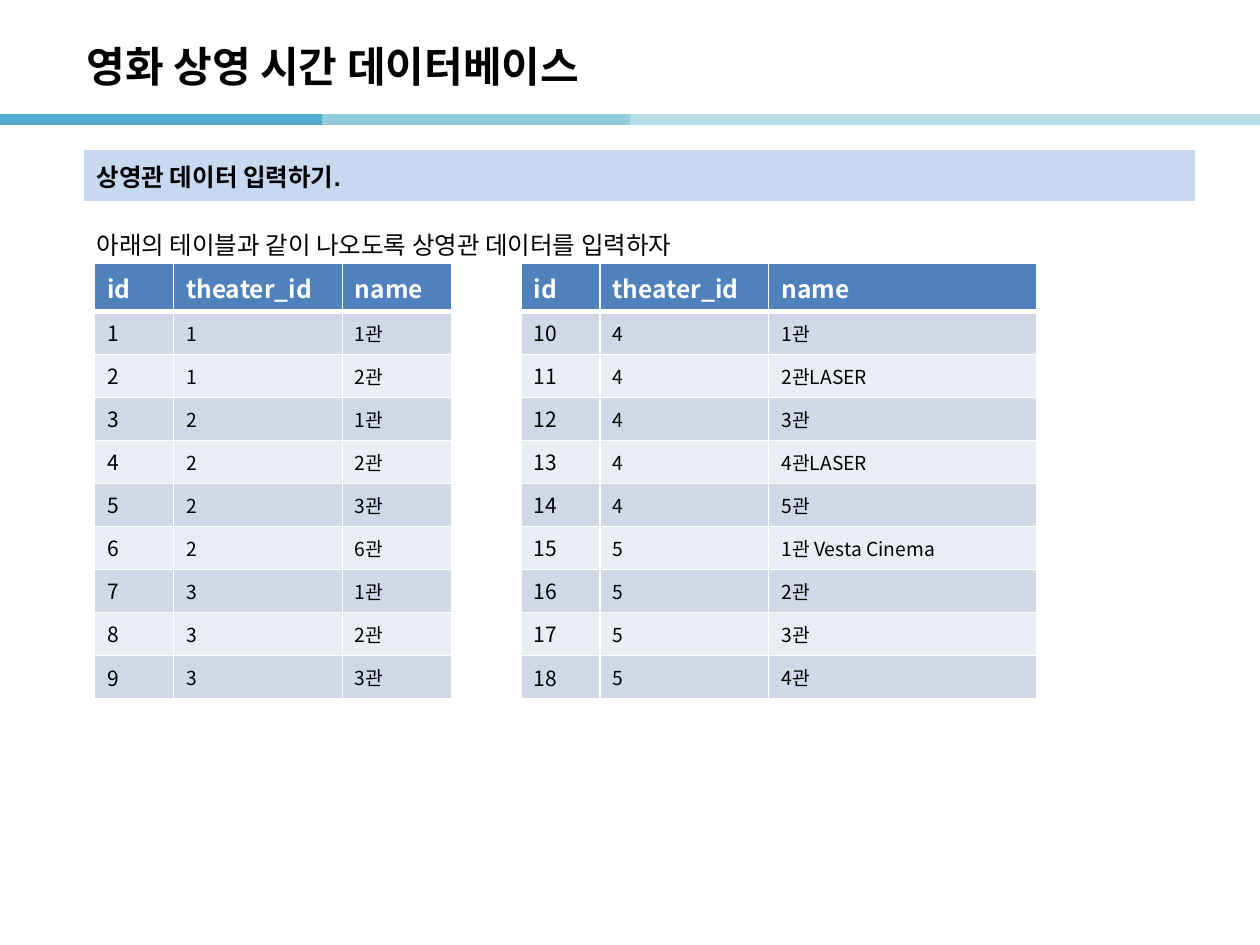
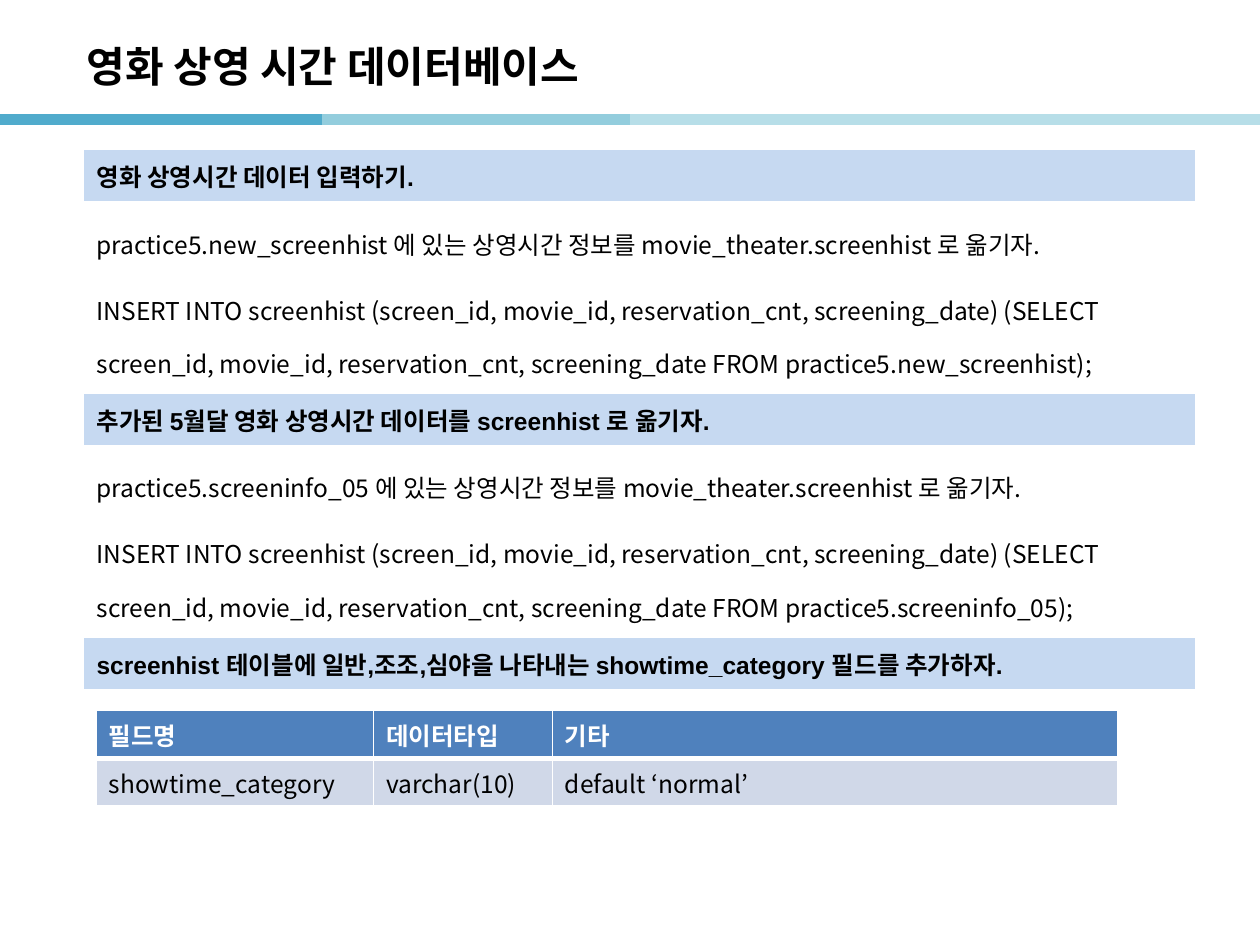
from lxml.etree import SubElement
from pptx import Presentation
from pptx.dml.color import RGBColor
from pptx.enum.shapes import MSO_CONNECTOR
from pptx.enum.text import MSO_ANCHOR
from pptx.oxml.ns import qn
from pptx.util import Pt

COLORS = {
    "black": "000000", "white": "FFFFFF",
    "teal": "50ABCC", "aqua": "93CDDD", "pale": "B7DEE8",
    "band": "C6D9F1", "head": "4F81BD", "odd": "D0D8E8", "even": "E9EDF4",
}
SANS = "Noto Sans CJK KR"
TITLE = "영화 상영 시간 데이터베이스"
LEFT, TOP, STEP = 48, 85.7, 139.3  # section tables
BAND, LINE, PAIR = 29.4, 37.7, 71.5  # heading, one-line and two-line rows


def color(name):
    return RGBColor.from_string(COLORS[name])


def write(frame, text, size, hue="black", bold=False, face=SANS):
    par = frame.paragraphs[0]
    par.text = text
    font = par.font
    font.size, font.bold, font.name = Pt(size), bold, face
    font.color.rgb = color(hue)
    # Korean letters use the sans face everywhere
    SubElement(par._p.pPr.find(qn("a:defRPr")), qn("a:ea"), typeface=SANS)
    return par


def edge(cell, side=0, foot=0):
    """Draw white borders of the given widths, or none for zero."""
    props = cell._tc.get_or_add_tcPr()
    for spot, (name, wide) in enumerate(zip("LRTB", (side,) * 3 + (foot,))):
        line = props.makeelement(qn(f"a:ln{name}"), w=str(Pt(wide)))
        if wide:
            fill = SubElement(line, qn("a:solidFill"))
            SubElement(fill, qn("a:srgbClr"), val=COLORS["white"])
        else:
            SubElement(line, qn("a:noFill"))
        props.insert(spot, line)


def paint(cell, name):
    cell.fill.solid()
    cell.fill.fore_color.rgb = color(name)


def grid(slide, left, top, cols, rows):
    """Add a plain table with the given column widths and row heights."""
    table = slide.shapes.add_table(
        len(rows), len(cols), Pt(left), Pt(top),
        Pt(sum(cols)), Pt(sum(rows))).table
    table.first_row = table.horz_banding = False
    for col, wide in zip(table.columns, cols):
        col.width = Pt(wide)
    for row, high in zip(table.rows, rows):
        row.height = Pt(high)
    return table


def frame(deck):
    """Add a slide with the shared title and striped rule."""
    slide = deck.slides.add_slide(deck.slide_layouts[6])
    # Striped rule
    size, y = 184.3, 68.4
    stripes = ((0, "teal"), (size, "aqua"), (360, "pale"), (537.1, "pale"))
    for x, hue in stripes:
        line = slide.shapes.add_connector(
            MSO_CONNECTOR.STRAIGHT, Pt(x), Pt(y), Pt(x + size), Pt(y))
        line.line.color.rgb = color(hue)
        line.line.width = Pt(6)
        SubElement(line._element.spPr, qn("a:effectLst"))
    # Title
    box = slide.shapes.add_textbox(Pt(42.5), Pt(15.8), Pt(595.4), Pt(43.2))
    text = box.text_frame
    text.word_wrap = True
    text.vertical_anchor = MSO_ANCHOR.MIDDLE
    write(text, TITLE, 24, bold=True)
    return slide


def section(slide, top, head, *lines):
    """Add a heading band with two rows of body text below."""
    table = grid(slide, LEFT, top, [635], [BAND, LINE, PAIR])
    band = table.cell(0, 0)
    paint(band, "band")
    edge(band)
    band.vertical_anchor = MSO_ANCHOR.MIDDLE
    write(band.text_frame, head, 14, bold=True, face="Arial")
    for row in (1, 2):
        cell = table.cell(row, 0)
        paint(cell, "white")
        edge(cell)
        if row <= len(lines):
            write(cell.text_frame, lines[row - 1], 14).line_spacing = 1.5


def data(slide, left, top, cols, high, rows, sizes, middle=False):
    """Add a data table: a header row, then striped rows."""
    table = grid(slide, left, top, cols, [27.4] + [high] * (len(rows) - 1))
    for r, row in enumerate(rows):
        for c, value in enumerate(row):
            cell = table.cell(r, c)
            if r == 0:
                paint(cell, "head")
                write(cell.text_frame, value, 14, "white", True)
            else:
                paint(cell, "odd" if r % 2 else "even")
                write(cell.text_frame, value, sizes[c])
                if middle:
                    cell.vertical_anchor = MSO_ANCHOR.MIDDLE
            edge(cell, 1, 1 if r else 3)


def halls(deck):
    """Slide with the two lists of screening halls."""
    slide = frame(deck)
    section(slide, TOP, "상영관 데이터 입력하기.",
            "아래의 테이블과 같이 나오도록 상영관 데이터를 입력하자")
    names = {
        1: ["1관", "2관"],
        2: ["1관", "2관", "3관", "6관"],
        3: ["1관", "2관", "3관"],
        4: ["1관", "2관LASER", "3관", "4관LASER", "5관"],
        5: ["1관 Vesta Cinema", "2관", "3관", "4관"],
    }
    pairs = [(str(key), name) for key, group in names.items()
             for name in group]
    rows = [(str(num), *pair) for num, pair in enumerate(pairs, 1)]
    head = ("id", "theater_id", "name")
    for left, last, part in ((54, 62.4, rows[:9]), (297.7, 153, rows[9:])):
        data(slide, left, 150.5, [45.1, 96.5, last], 24.6,
             [head] + part, (12, 11, 11), True)


def times(deck):
    """Slide with the steps for moving the screening times."""
    slide = frame(deck)
    steps = (
        ("영화 상영시간 데이터 입력하기.", "new_screenhist"),
        ("추가된 5월달 영화 상영시간 데이터를 screenhist 로 옮기자.",
         "screeninfo_05"),
    )
    fields = "screen_id, movie_id, reservation_cnt, screening_date"
    for num, (head, source) in enumerate(steps):
        section(
            slide, TOP + num * STEP, head,
            f"practice5.{source} 에 있는 상영시간 정보를 "
            "movie_theater.screenhist 로 옮기자.",
            f"INSERT INTO screenhist ({fields}) "
            f"(SELECT {fields} FROM practice5.{source});")
    # New field
    section(slide, TOP + 2 * STEP,
            "screenhist 테이블에 일반,조조,심야을 나타내는 "
            "showtime_category 필드를 추가하자.")
    data(slide, 55, 405.9, [158.4, 102.2, 323.3], 27.4,
         [("필드명", "데이터타입", "기타"),
          ("showtime_category", "varchar(10)", "default ‘normal’")],
         (14, 14, 14))


def main():
    deck = Presentation()
    deck.slide_width, deck.slide_height = Pt(720), Pt(540)
    halls(deck)
    times(deck)
    deck.save("out.pptx")


if __name__ == "__main__":
    main()
